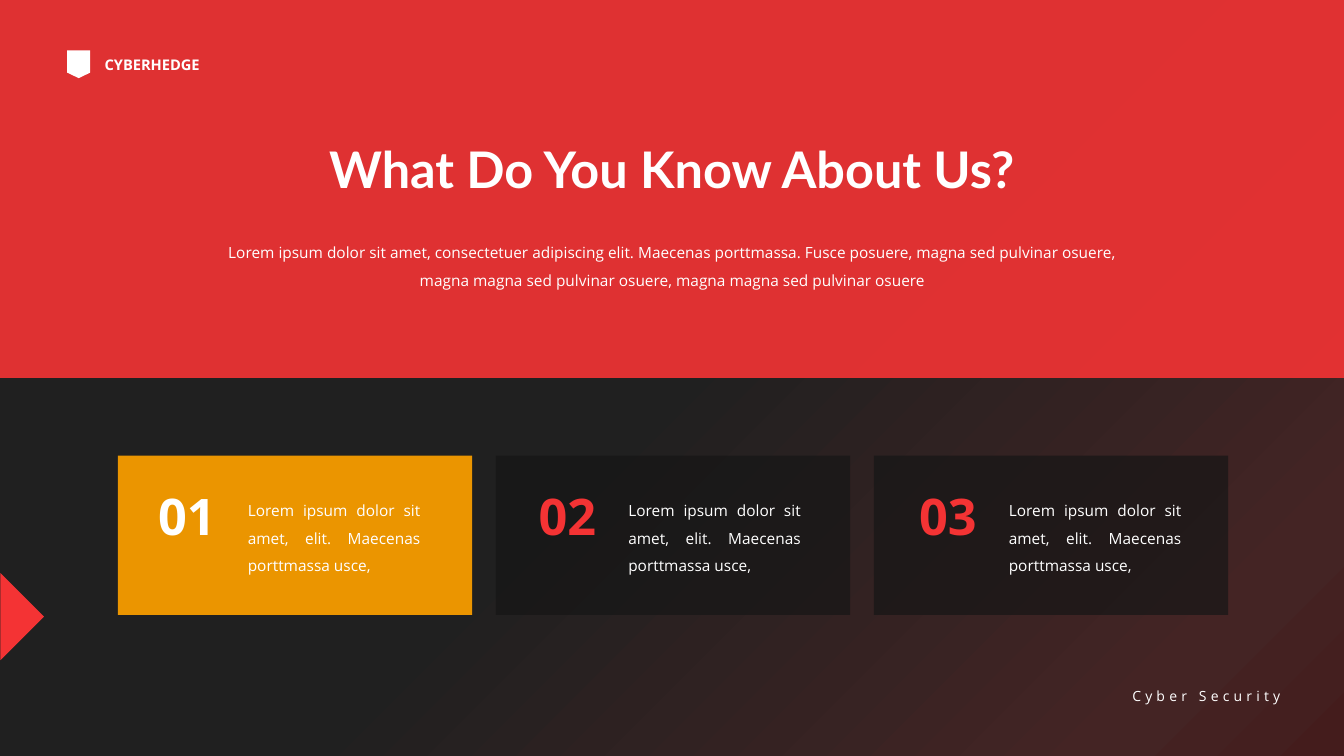
from lxml import etree
from pptx import Presentation
from pptx.dml.color import RGBColor
from pptx.enum.shapes import MSO_SHAPE
from pptx.enum.text import MSO_AUTO_SIZE, PP_ALIGN
from pptx.oxml.ns import qn
from pptx.util import Pt

RECTANGLE = MSO_SHAPE.RECTANGLE
TRIANGLE = MSO_SHAPE.RIGHT_TRIANGLE
SHIELD = MSO_SHAPE.FLOWCHART_OFFPAGE_CONNECTOR
GROW = MSO_AUTO_SIZE.SHAPE_TO_FIT_TEXT
LEFT, CENTER, RIGHT, JUSTIFY = PP_ALIGN.LEFT, PP_ALIGN.CENTER, PP_ALIGN.RIGHT, PP_ALIGN.JUSTIFY

RED, ORANGE, BLACK, WHITE = "F43334", "EB9500", "161616", "FFFFFF"
BACKGROUND_STOPS = [(0, "202020"), (50, "202020"), (88, "442424"), (100, "441C1C")]

TITLE = "What Do You Know About Us?"
INTRO = ("Lorem ipsum dolor sit amet, consectetuer adipiscing elit. Maecenas porttmassa. "
         "Fusce posuere, magna sed pulvinar osuere, magna magna sed pulvinar osuere, "
         "magna magna sed pulvinar osuere")
CARD_TEXT = "Lorem ipsum dolor sit amet, elit. Maecenas porttmassa usce,"
CARDS = [("01", ORANGE, 100, WHITE), ("02", BLACK, 70, RED), ("03", BLACK, 70, RED)]
CARD_LEFT, CARD_PITCH = 84.2, 270
NUMBER_LEFT, NUMBER_PITCH, TEXT_OFFSET = 105.8, 271.8, 64.1


def color(value):
    """Turn a hex string into a colour."""
    return RGBColor.from_string(value)


def paint_background(slide):
    """Fill the slide with the diagonal dark gradient."""
    fill = slide.background.fill
    fill.gradient()
    fill.gradient_angle = 315
    stop_list = slide.background._cSld.find(".//" + qn("a:gsLst"))
    for stop in list(stop_list):
        stop_list.remove(stop)
    for position, value in BACKGROUND_STOPS:
        stop = etree.SubElement(stop_list, qn("a:gs"), pos=str(position * 1000))
        etree.SubElement(stop, qn("a:srgbClr"), val=value)


def add_block(slide, kind, left, top, width, height, fill, opacity=100):
    """Add a flat shape without outline or shadow."""
    block = slide.shapes.add_shape(kind, Pt(left), Pt(top), Pt(width), Pt(height))
    block.shadow.inherit = False
    block.line.fill.background()
    block.fill.solid()
    block.fill.fore_color.rgb = color(fill)
    if opacity < 100:
        value = block._element.spPr.find(qn("a:solidFill")).find(qn("a:srgbClr"))
        etree.SubElement(value, qn("a:alpha"), val=str(opacity * 1000))
    return block


def add_text(slide, text, left, top, width, height, size, align=LEFT, fill=WHITE,
             font="Open Sans", bold=False, wrap=True, line_spacing=None, tracking=0):
    """Add a one-paragraph text box."""
    box = slide.shapes.add_textbox(Pt(left), Pt(top), Pt(width), Pt(height))
    frame = box.text_frame
    frame.text = text
    frame.word_wrap = wrap
    frame.auto_size = GROW
    para = frame.paragraphs[0]
    para.alignment = align
    if line_spacing:
        para.line_spacing = line_spacing
    span = para.runs[0]
    span.font.name = font
    span.font.size = Pt(size)
    span.font.bold = bold
    span.font.color.rgb = color(fill)
    if tracking:
        span._r.get_or_add_rPr().set("spc", str(tracking * 100))


def add_card(slide, index, number, fill, opacity, number_color):
    """Add a numbered card with its paragraph."""
    add_block(slide, RECTANGLE, CARD_LEFT + index * CARD_PITCH, 325.5, 253, 113.8, fill, opacity)
    left = NUMBER_LEFT + index * NUMBER_PITCH
    add_text(slide, number, left, 342.7, 65.5, 51, 36, fill=number_color, bold=True)
    add_text(slide, CARD_TEXT, left + TEXT_OFFSET, 347.8, 137.5, 67, 11, JUSTIFY,
             line_spacing=1.5)


def main():
    """Build the slide and save the deck."""
    deck = Presentation()
    deck.slide_width, deck.slide_height = Pt(960), Pt(540)
    slide = deck.slides.add_slide(deck.slide_layouts[6])
    paint_background(slide)
    add_block(slide, RECTANGLE, 0, 0, 960, 270, RED, 90)

    add_text(slide, "CYBERHEDGE", 67.7, 36, 85, 20, 10.5, bold=True, wrap=False)
    add_block(slide, SHIELD, 48, 36, 16.5, 19.8, WHITE)
    add_text(slide, "Cyber Security", 792.7, 487.4, 128.9, 19.4, 10, RIGHT,
             wrap=False, tracking=3)
    pointer = add_block(slide, TRIANGLE, -21.6, 418.5, 43.9, 43.9, RED)
    pointer.rotation = 225

    add_text(slide, TITLE, 167, 95, 625.7, 51, 36, CENTER, font="Lato", bold=True)
    add_text(slide, INTRO, 154, 163.4, 653, 47.5, 11, CENTER, line_spacing=1.5)
    for index, card in enumerate(CARDS):
        add_card(slide, index, *card)
    deck.save("out.pptx")


if __name__ == "__main__":
    main()
